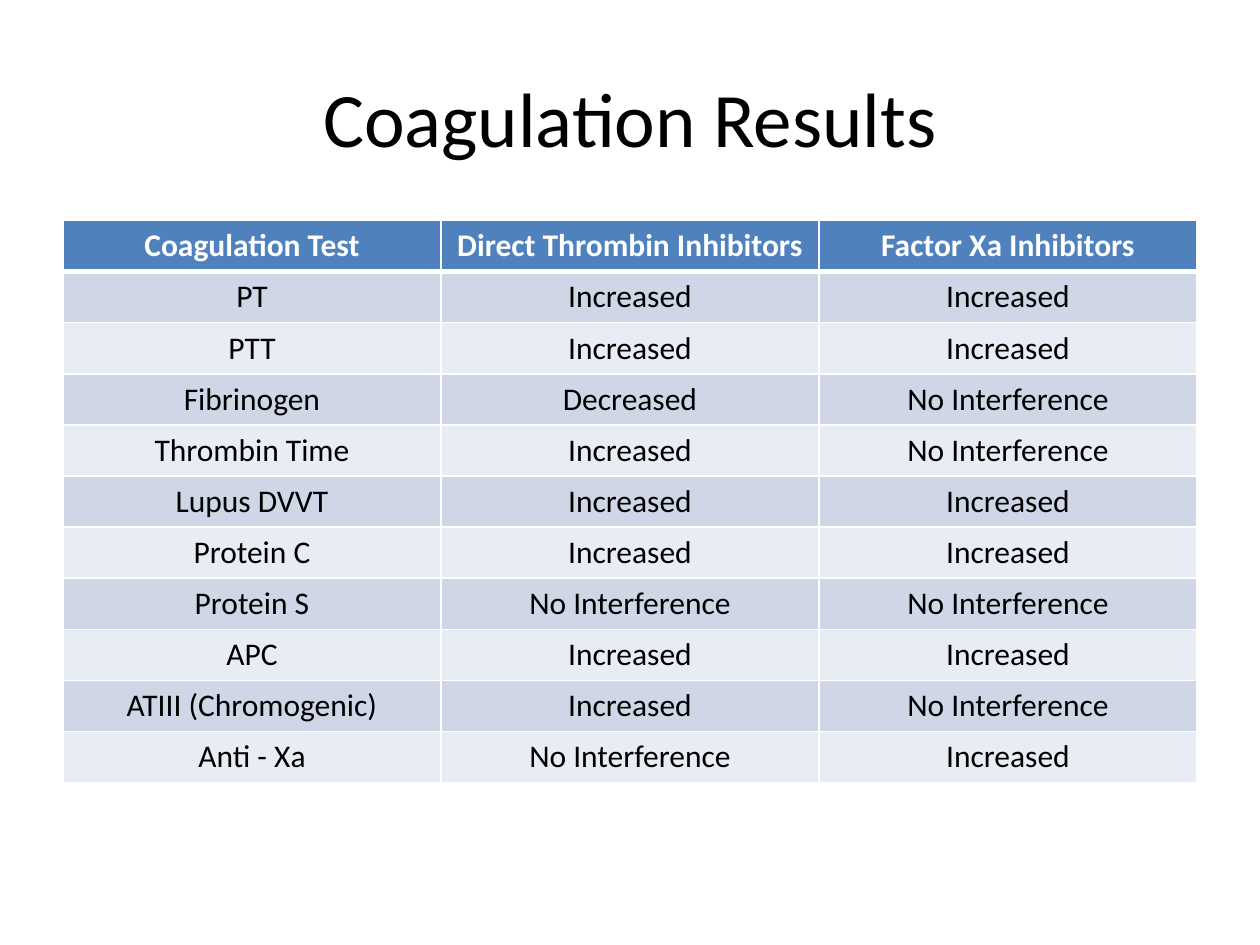
import pptx
import pptx.dml.color
import pptx.enum.text
import pptx.oxml
import pptx.oxml.ns
import pptx.util

Inches = pptx.util.Inches
UP, DOWN, NONE = "Increased", "Decreased", "No Interference"
ROWS = [
    ("Coagulation Test", "Direct Thrombin Inhibitors", "Factor Xa Inhibitors"),
    ("PT", UP, UP),
    ("PTT", UP, UP),
    ("Fibrinogen", DOWN, NONE),
    ("Thrombin Time", UP, NONE),
    ("Lupus DVVT", UP, UP),
    ("Protein C", UP, UP),
    ("Protein S", NONE, NONE),
    ("APC", UP, UP),
    ("ATIII (Chromogenic)", UP, NONE),
    ("Anti - Xa", NONE, UP),
]
HEAD, BANDS = "4F81BD", ("CFD7E7", "E8ECF4")
PAD = Inches(0.05)
PADS = {f"margin_{side}": PAD for side in ("left", "top", "right", "bottom")}
MID = pptx.enum.text.MSO_ANCHOR.MIDDLE


def tint(item, code):
    """Give a fill or font a solid colour from a hex string."""
    if hasattr(item, "solid"):
        item.solid()
        item.fore_color.rgb = pptx.dml.color.RGBColor.from_string(code)
    else:
        item.color.rgb = pptx.dml.color.RGBColor.from_string(code)


def apply(item, form):
    """Set each attribute named in a dict of format values."""
    for name, value in form.items():
        setattr(item, name, value)


def write(frame, text, size, code, bold=False):
    """Write one centred line of text into a text frame."""
    line = frame.paragraphs[0]
    line.alignment = pptx.enum.text.PP_ALIGN.CENTER
    run = line.add_run()
    run.text = text
    apply(run.font, {"name": "Calibri", "size": pptx.util.Pt(size), "bold": bold})
    tint(run.font, code)


def edge(cell, widths):
    """Draw white borders on a cell, widths in points by side."""
    props = cell._tc.get_or_add_tcPr()
    for side, width in widths.items():
        props.append(pptx.oxml.parse_xml(
            f'<a:ln{side} {pptx.oxml.ns.nsdecls("a")} w="{pptx.util.Pt(width)}">'
            '<a:solidFill><a:srgbClr val="FFFFFF"/></a:solidFill>'
            f'</a:ln{side}>'))


def add_title(slide, left, top, width, height):
    """Place the slide title in the given box."""
    title = slide.shapes.title
    apply(title, {"left": left, "top": top, "width": width, "height": height})
    apply(title.text_frame, {**PADS, "vertical_anchor": MID, "word_wrap": True})
    write(title.text_frame, "Coagulation Results", 44, "000000")


def add_grid(slide, left, top, width, height):
    """Place the banded table of results in the given box."""
    grid = slide.shapes.add_table(
        len(ROWS), len(ROWS[0]), left, top, width, height).table
    for r, row in enumerate(ROWS):
        head = r == 0
        for c, text in enumerate(row):
            cell = grid.cell(r, c)
            apply(cell, PADS)
            edge(cell, {"L": 1, "R": 1, "T": 3 if r == 1 else 1, "B": 3 if head else 1})
            tint(cell.fill, HEAD if head else BANDS[(r - 1) % 2])
            write(cell.text_frame, text, 18, "FFFFFF" if head else "000000", head)


def main():
    """Build and save the slide."""
    deck = pptx.Presentation()
    apply(deck, {"slide_width": Inches(10), "slide_height": Inches(7.5)})
    slide = deck.slides.add_slide(deck.slide_layouts[5])
    left, width = Inches(0.5), Inches(9)
    add_title(slide, left, Inches(0.3), width, Inches(1.25))
    add_grid(slide, left, Inches(1.75), width, Inches(4.46))
    deck.save("out.pptx")


if __name__ == "__main__":
    main()
